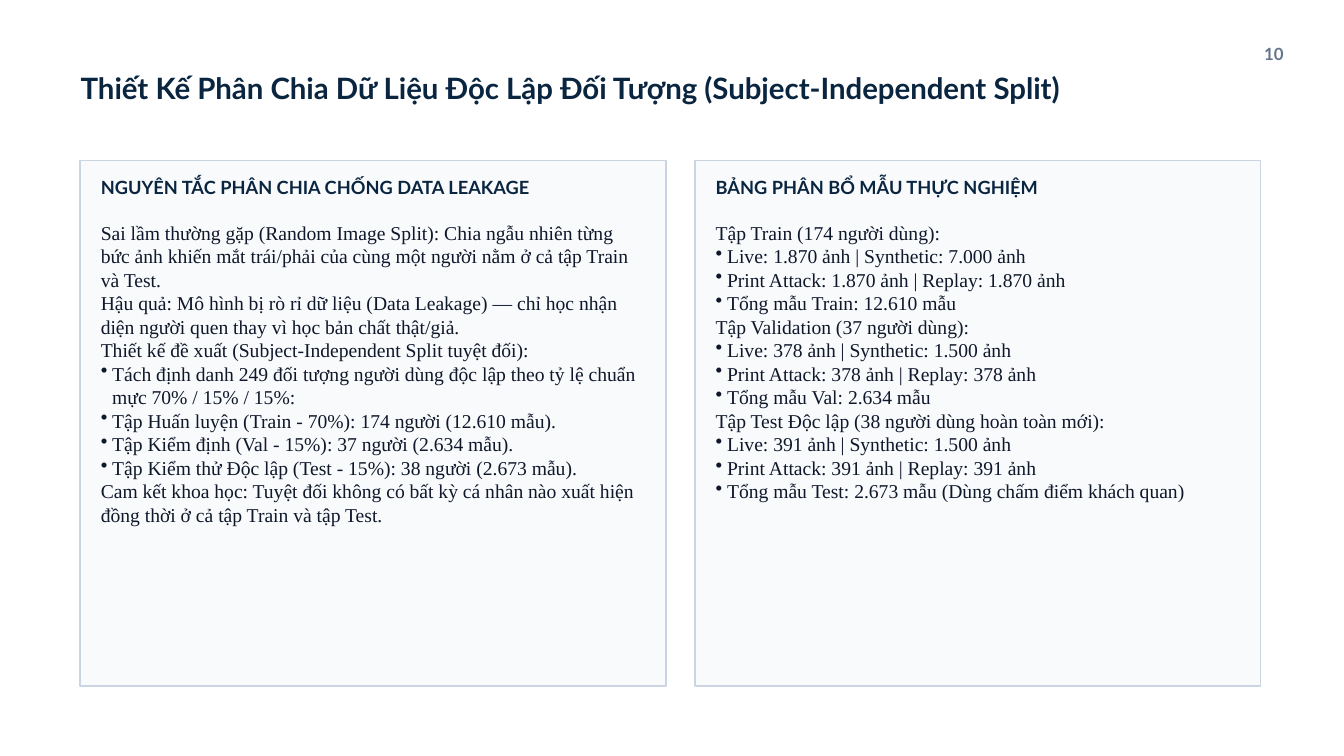
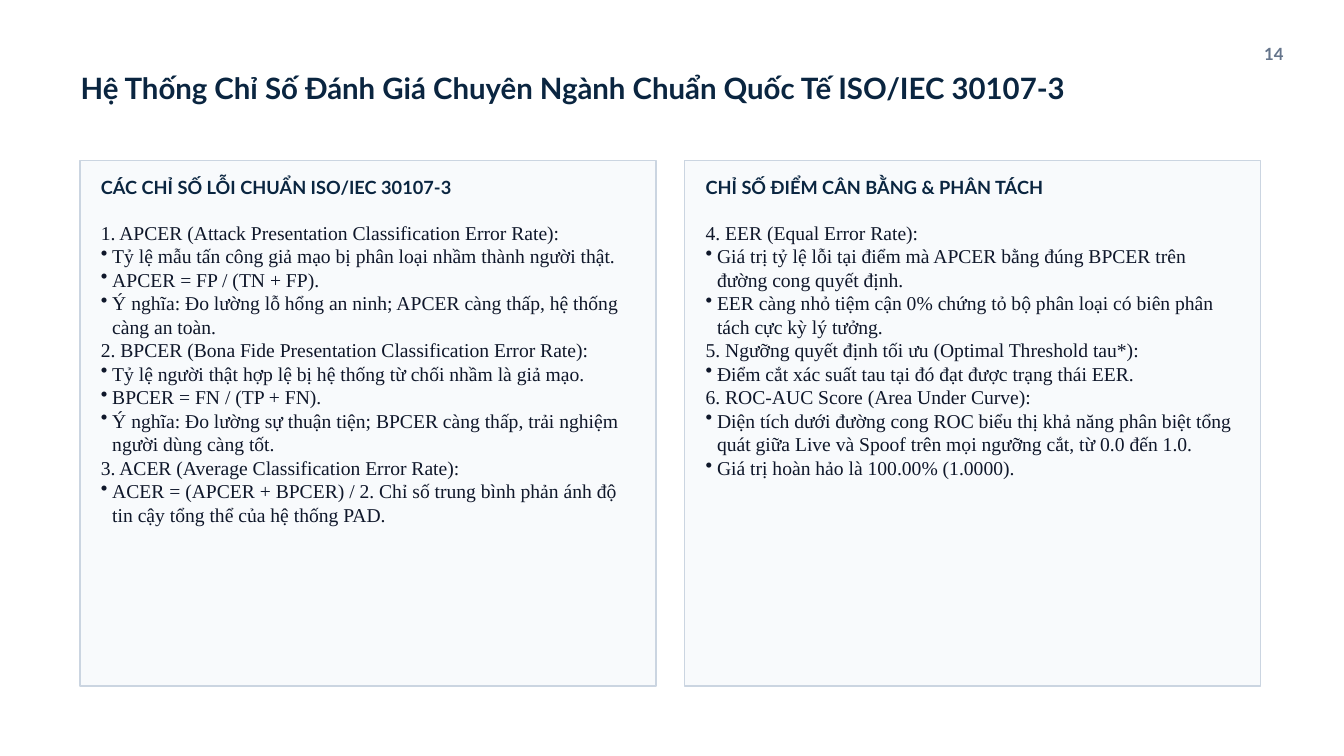
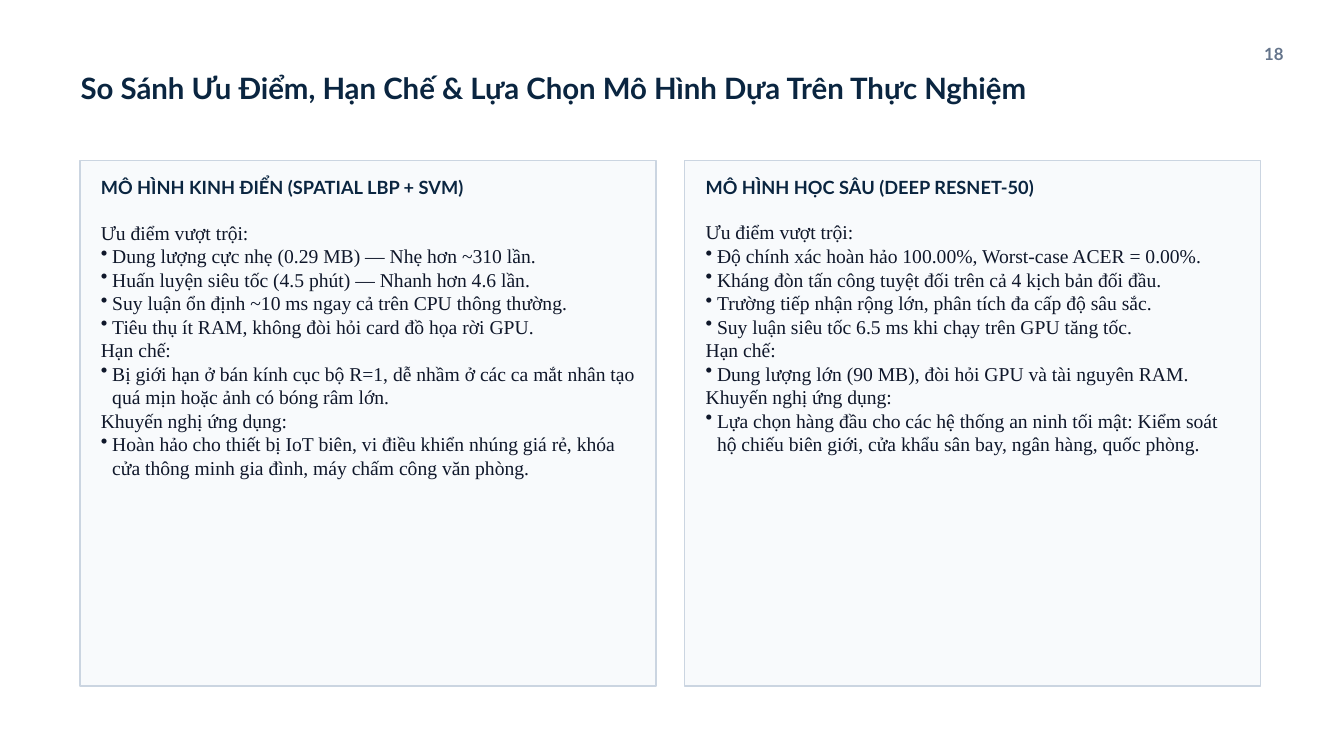
"""Build three two-card slides about the experiment design, metrics and models."""
from lxml import etree
from pptx import Presentation
from pptx import util as u
from pptx.dml.color import RGBColor
from pptx.enum import shapes, text
from pptx.oxml.ns import qn

COLORS = {
    "navy": "0A2540",
    "ink": "0F172A",
    "slate": "64748B",
    "card": "F8FAFC",
    "border": "CBD5E1",
}
HEADING_FONT = "Lato"
BODY_FONT = "Times New Roman"
CARDS_LEFT, CARDS_RIGHT = 1.19, 18.76
CARDS_TOP, CARDS_HEIGHT = 2.39, 7.82
CARD_GAP, CARD_PADDING = 0.43, 0.31
BULLET_INDENT = 0.17
BODY_LINE_HEIGHT = 24.9

SLIDES = [
    {
        "number": "10",
        "title": "Thiết Kế Phân Chia Dữ Liệu Độc Lập Đối Tượng (Subject-Independent Split)",
        "left_width": 8.72,
        "cards": [
            ("NGUYÊN TẮC PHÂN CHIA CHỐNG DATA LEAKAGE", 13, [
                "Sai lầm thường gặp (Random Image Split): Chia ngẫu nhiên từng bức ảnh khiến "
                "mắt trái/phải của cùng một người nằm ở cả tập Train và Test.",
                "Hậu quả: Mô hình bị rò rỉ dữ liệu (Data Leakage) — chỉ học nhận diện người "
                "quen thay vì học bản chất thật/giả.",
                "Thiết kế đề xuất (Subject-Independent Split tuyệt đối):",
                "• Tách định danh 249 đối tượng người dùng độc lập theo tỷ lệ chuẩn mực "
                "70% / 15% / 15%:",
                "• Tập Huấn luyện (Train - 70%): 174 người (12.610 mẫu).",
                "• Tập Kiểm định (Val - 15%): 37 người (2.634 mẫu).",
                "• Tập Kiểm thử Độc lập (Test - 15%): 38 người (2.673 mẫu).",
                "Cam kết khoa học: Tuyệt đối không có bất kỳ cá nhân nào xuất hiện đồng thời "
                "ở cả tập Train và tập Test.",
            ]),
            ("BẢNG PHÂN BỔ MẪU THỰC NGHIỆM", 12, [
                "Tập Train (174 người dùng):",
                "• Live: 1.870 ảnh | Synthetic: 7.000 ảnh",
                "• Print Attack: 1.870 ảnh | Replay: 1.870 ảnh",
                "• Tổng mẫu Train: 12.610 mẫu",
                "Tập Validation (37 người dùng):",
                "• Live: 378 ảnh | Synthetic: 1.500 ảnh",
                "• Print Attack: 378 ảnh | Replay: 378 ảnh",
                "• Tổng mẫu Val: 2.634 mẫu",
                "Tập Test Độc lập (38 người dùng hoàn toàn mới):",
                "• Live: 391 ảnh | Synthetic: 1.500 ảnh",
                "• Print Attack: 391 ảnh | Replay: 391 ảnh",
                "• Tổng mẫu Test: 2.673 mẫu (Dùng chấm điểm khách quan)",
            ]),
        ],
    },
    {
        "number": "14",
        "title": "Hệ Thống Chỉ Số Đánh Giá Chuyên Ngành Chuẩn Quốc Tế ISO/IEC 30107-3",
        "left_width": 8.57,
        "cards": [
            ("CÁC CHỈ SỐ LỖI CHUẨN ISO/IEC 30107-3", 13, [
                "1. APCER (Attack Presentation Classification Error Rate):",
                "• Tỷ lệ mẫu tấn công giả mạo bị phân loại nhầm thành người thật.",
                "• APCER = FP / (TN + FP).",
                "• Ý nghĩa: Đo lường lỗ hổng an ninh; APCER càng thấp, hệ thống càng an toàn.",
                "2. BPCER (Bona Fide Presentation Classification Error Rate):",
                "• Tỷ lệ người thật hợp lệ bị hệ thống từ chối nhầm là giả mạo.",
                "• BPCER = FN / (TP + FN).",
                "• Ý nghĩa: Đo lường sự thuận tiện; BPCER càng thấp, trải nghiệm người dùng "
                "càng tốt.",
                "3. ACER (Average Classification Error Rate):",
                "• ACER = (APCER + BPCER) / 2. Chỉ số trung bình phản ánh độ tin cậy tổng thể "
                "của hệ thống PAD.",
            ]),
            ("CHỈ SỐ ĐIỂM CÂN BẰNG & PHÂN TÁCH", 11, [
                "4. EER (Equal Error Rate):",
                "• Giá trị tỷ lệ lỗi tại điểm mà APCER bằng đúng BPCER trên đường cong "
                "quyết định.",
                "• EER càng nhỏ tiệm cận 0% chứng tỏ bộ phân loại có biên phân tách cực kỳ "
                "lý tưởng.",
                "5. Ngưỡng quyết định tối ưu (Optimal Threshold tau*):",
                "• Điểm cắt xác suất tau tại đó đạt được trạng thái EER.",
                "6. ROC-AUC Score (Area Under Curve):",
                "• Diện tích dưới đường cong ROC biểu thị khả năng phân biệt tổng quát giữa "
                "Live và Spoof trên mọi ngưỡng cắt, từ 0.0 đến 1.0.",
                "• Giá trị hoàn hảo là 100.00% (1.0000).",
            ]),
        ],
    },
    {
        "number": "18",
        "title": "So Sánh Ưu Điểm, Hạn Chế & Lựa Chọn Mô Hình Dựa Trên Thực Nghiệm",
        "left_width": 8.57,
        "cards": [
            ("MÔ HÌNH KINH ĐIỂN (SPATIAL LBP + SVM)", 11, [
                "Ưu điểm vượt trội:",
                "• Dung lượng cực nhẹ (0.29 MB) — Nhẹ hơn ~310 lần.",
                "• Huấn luyện siêu tốc (4.5 phút) — Nhanh hơn 4.6 lần.",
                "• Suy luận ổn định ~10 ms ngay cả trên CPU thông thường.",
                "• Tiêu thụ ít RAM, không đòi hỏi card đồ họa rời GPU.",
                "Hạn chế:",
                "• Bị giới hạn ở bán kính cục bộ R=1, dễ nhầm ở các ca mắt nhân tạo quá mịn "
                "hoặc ảnh có bóng râm lớn.",
                "Khuyến nghị ứng dụng:",
                "• Hoàn hảo cho thiết bị IoT biên, vi điều khiển nhúng giá rẻ, khóa cửa "
                "thông minh gia đình, máy chấm công văn phòng.",
            ]),
            ("MÔ HÌNH HỌC SÂU (DEEP RESNET-50)", 10, [
                "Ưu điểm vượt trội:",
                "• Độ chính xác hoàn hảo 100.00%, Worst-case ACER = 0.00%.",
                "• Kháng đòn tấn công tuyệt đối trên cả 4 kịch bản đối đầu.",
                "• Trường tiếp nhận rộng lớn, phân tích đa cấp độ sâu sắc.",
                "• Suy luận siêu tốc 6.5 ms khi chạy trên GPU tăng tốc.",
                "Hạn chế:",
                "• Dung lượng lớn (90 MB), đòi hỏi GPU và tài nguyên RAM.",
                "Khuyến nghị ứng dụng:",
                "• Lựa chọn hàng đầu cho các hệ thống an ninh tối mật: Kiểm soát hộ chiếu "
                "biên giới, cửa khẩu sân bay, ngân hàng, quốc phòng.",
            ]),
        ],
    },
]


class Deck:
    """Hold the shared style and the current slide."""

    def __init__(self):
        self.presentation = Presentation()
        self.presentation.slide_width = u.Inches(20)
        self.presentation.slide_height = u.Inches(11.25)
        self.slide = None

    def add_slide(self, title, number):
        """Start a slide with its title and page number."""
        self.slide = self.presentation.slides.add_slide(self.presentation.slide_layouts[5])
        heading = self.slide.shapes.title
        heading.left, heading.top = u.Inches(1.2), u.Inches(1.04)
        heading.width, heading.height = u.Inches(16.5), u.Inches(0.84)
        self.set_text(heading, [title], 31.5, "navy", 37.8)
        self.text_box(18.1, 0.65, 1, u.Inches(0.42), [number], 18, "slate", 21.6,
                      alignment=text.PP_ALIGN.RIGHT)

    def text_box(self, left, top, width, height, lines, *style, **options):
        """Add a text box in the given style."""
        box = self.slide.shapes.add_textbox(
            u.Inches(left), u.Inches(top), u.Inches(width), height)
        self.set_text(box, lines, *style, **options)

    def set_text(self, shape, lines, size, color, spacing, font=HEADING_FONT, bold=True,
                 alignment=text.PP_ALIGN.LEFT):
        """Fill a shape with paragraphs, turning marked lines into bullets."""
        frame = shape.text_frame
        frame.margin_left = frame.margin_right = frame.margin_top = frame.margin_bottom = 0
        frame.word_wrap = True
        frame.auto_size = text.MSO_AUTO_SIZE.SHAPE_TO_FIT_TEXT
        frame.vertical_anchor = text.MSO_ANCHOR.TOP
        for index, line in enumerate(lines):
            paragraph = frame.add_paragraph() if index else frame.paragraphs[0]
            paragraph.text = line.removeprefix("• ")
            paragraph.alignment = alignment
            paragraph.line_spacing = u.Pt(spacing)
            if line.startswith("• "):
                self.bullet(paragraph)
            paragraph.font.name = font
            paragraph.font.size = u.Pt(size)
            paragraph.font.bold = bold
            paragraph.font.color.rgb = RGBColor.from_string(COLORS[color])

    def bullet(self, paragraph):
        """Give a paragraph a hanging bullet."""
        properties = paragraph._p.get_or_add_pPr()
        indent = u.Inches(BULLET_INDENT)
        properties.set("marL", str(indent))
        properties.set("indent", str(-indent))
        etree.SubElement(properties, qn("a:buChar")).set("char", "•")

    def card(self, left, width, heading, line_count, lines):
        """Add a bordered card with a heading and body text."""
        card = self.slide.shapes.add_shape(
            shapes.MSO_SHAPE.RECTANGLE, u.Inches(left), u.Inches(CARDS_TOP),
            u.Inches(width), u.Inches(CARDS_HEIGHT))
        card.shadow.inherit = False
        card.fill.solid()
        card.fill.fore_color.rgb = RGBColor.from_string(COLORS["card"])
        card.line.color.rgb = RGBColor.from_string(COLORS["border"])
        card.line.width = u.Pt(1.5)
        text_left, text_width = left + CARD_PADDING, width - 2 * CARD_PADDING
        self.text_box(text_left, 2.62, text_width, u.Inches(0.57), [heading],
                      19.5, "navy", 23.4)
        self.text_box(text_left, 3.28, text_width, u.Pt(BODY_LINE_HEIGHT * line_count), lines,
                      21, "ink", 25.2, font=BODY_FONT, bold=False)


def main():
    """Build and save the deck."""
    deck = Deck()
    for content in SLIDES:
        deck.add_slide(content["title"], content["number"])
        left_width = content["left_width"]
        right_start = CARDS_LEFT + left_width + CARD_GAP
        columns = [(CARDS_LEFT, left_width), (right_start, CARDS_RIGHT - right_start)]
        for (left, width), card in zip(columns, content["cards"]):
            deck.card(left, width, *card)
    deck.presentation.save("out.pptx")


if __name__ == "__main__":
    main()
